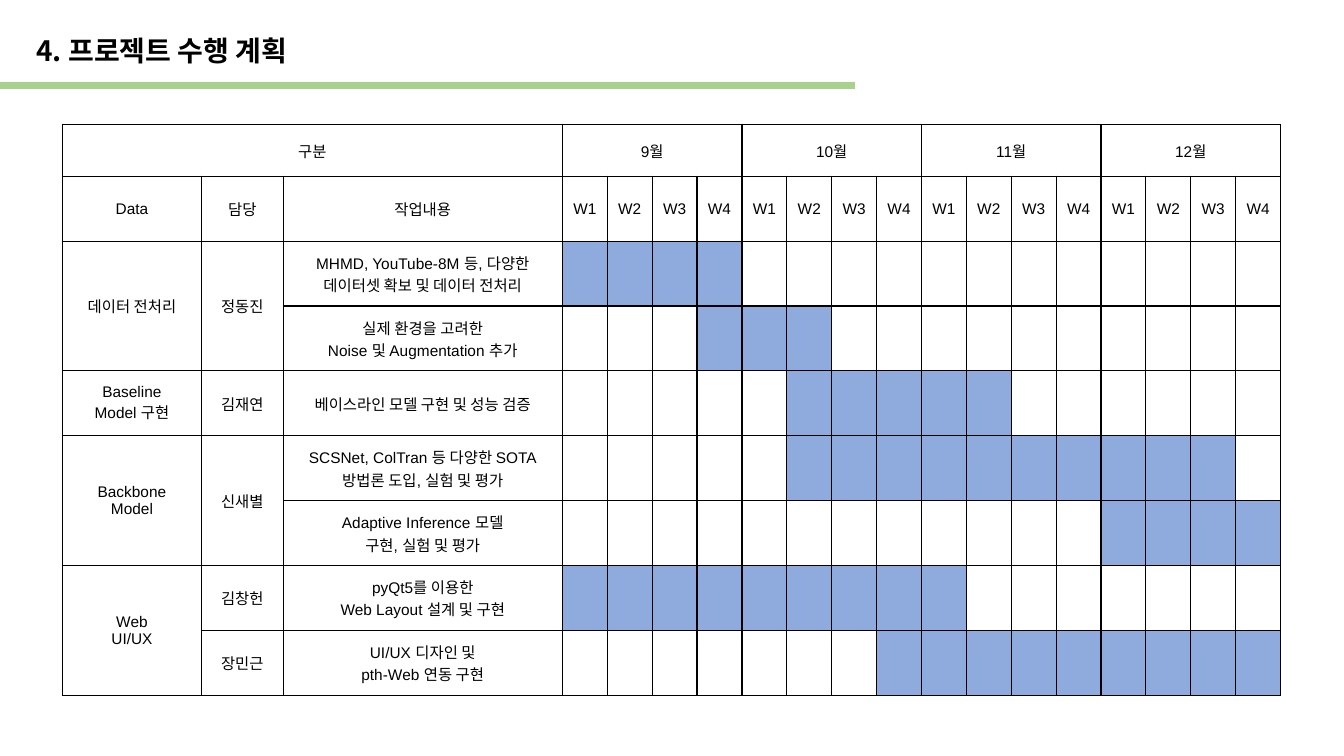
"""Build the project schedule slide."""
from lxml.etree import SubElement
from pptx import Presentation
from pptx.dml.color import RGBColor
from pptx.enum.shapes import MSO_CONNECTOR
from pptx.enum.text import MSO_ANCHOR, MSO_AUTO_SIZE, PP_ALIGN
from pptx.oxml import parse_xml
from pptx.oxml.ns import nsdecls, qn
from pptx.util import Pt

TITLE = "4. 프로젝트 수행 계획"
MONTHS = ["9월", "10월", "11월", "12월"]
WEEKS = ["W1", "W2", "W3", "W4"]
HEADS = ["Data", "담당", "작업내용"]
# Each task: area, owner, work, first week, last week
TASKS = [
    ("데이터 전처리", "정동진", "MHMD, YouTube-8M 등, 다양한\n데이터셋 확보 및 데이터 전처리", 1, 4),
    ("", "", "실제 환경을 고려한\nNoise 및 Augmentation 추가", 4, 6),
    ("Baseline\nModel 구현", "김재연", "베이스라인 모델 구현 및 성능 검증", 6, 10),
    ("Backbone\nModel", "신새별", "SCSNet, ColTran 등 다양한 SOTA\n방법론 도입, 실험 및 평가", 6, 15),
    ("", "", "Adaptive Inference 모델\v구현, 실험 및 평가", 13, 16),
    ("Web\nUI/UX", "김창헌", "pyQt5를 이용한\nWeb Layout 설계 및 구현", 1, 9),
    ("", "장민근", "UI/UX 디자인 및\npth-Web 연동 구현", 8, 16),
]
COLORS = {"ink": "000000", "bar": "8FAADC", "rule": "A9D18E", "paper": "FFFFFF"}
LATIN, HANGUL = "Arial", "Noto Sans CJK KR"
LEFT, TOP = 44.6, 88.7
SIDE = [99.4, 58.3, 199.5]
WEEK, HEAD, ROW = 32.08, 37.2, 46.37


def color(key):
    return RGBColor.from_string(COLORS[key])


def style(frame, size, latin, bold=False):
    for para in frame.paragraphs:
        for run in para.runs:
            font = run.font
            font.size, font.bold, font.name = Pt(size), bold, latin
            font.color.rgb = color("ink")
            SubElement(run._r.get_or_add_rPr(), qn("a:ea")).set("typeface", HANGUL)


def paint(cell, key):
    props = cell._tc.get_or_add_tcPr()
    for side in "LRTB":
        props.append(parse_xml(
            f'<a:ln{side} {nsdecls("a")} w="12700"><a:solidFill>'
            f'<a:srgbClr val="{COLORS["ink"]}"/></a:solidFill></a:ln{side}>'))
    cell.fill.solid()
    cell.fill.fore_color.rgb = color(key)


def write(cell, text):
    cell.text = text
    cell.vertical_anchor = MSO_ANCHOR.MIDDLE
    for para in cell.text_frame.paragraphs:
        para.alignment = PP_ALIGN.CENTER
    style(cell.text_frame, 11, LATIN)


def add_title(slide):
    title = slide.shapes.title
    title.left, title.top, title.width, title.height = Pt(18.7), Pt(8), Pt(683), Pt(40)
    frame = title.text_frame
    frame.text = TITLE
    frame.word_wrap = True
    frame.auto_size = MSO_AUTO_SIZE.NONE
    frame.vertical_anchor = MSO_ANCHOR.TOP
    para = frame.paragraphs[0]
    para.alignment, para.line_spacing = PP_ALIGN.LEFT, 1.5
    style(frame, 20, HANGUL, True)
    rule = slide.shapes.add_connector(
        MSO_CONNECTOR.STRAIGHT, Pt(0), Pt(61.2), Pt(610.5), Pt(61.2))
    rule.line.color.rgb, rule.line.width = color("rule"), Pt(5)
    SubElement(rule._element.spPr, qn("a:effectLst"))


def add_plan(slide):
    side, span = len(SIDE), len(WEEKS)
    widths = SIDE + [WEEK] * (len(MONTHS) * span)
    heights = [HEAD] + [ROW] * (len(TASKS) + 1)
    table = slide.shapes.add_table(
        len(heights), len(widths), Pt(LEFT), Pt(TOP),
        Pt(sum(widths)), Pt(sum(heights))).table
    table.first_row = table.horz_banding = False
    for col, width in zip(table.columns, widths):
        col.width = Pt(width)
    for row, height in zip(table.rows, heights):
        row.height = Pt(height)
    for r in range(len(heights)):
        for c in range(len(widths)):
            busy = r > 1 and TASKS[r - 2][3] <= c - side + 1 <= TASKS[r - 2][4]
            paint(table.cell(r, c), "bar" if busy else "paper")

    table.cell(0, 0).merge(table.cell(0, side - 1))
    write(table.cell(0, 0), "구분")
    for m, month in enumerate(MONTHS):
        col = side + m * span
        table.cell(0, col).merge(table.cell(0, col + span - 1))
        write(table.cell(0, col), month)
    for c, text in enumerate(HEADS + WEEKS * len(MONTHS)):
        write(table.cell(1, c), text)
    for r, task in enumerate(TASKS, 2):
        for c, text in enumerate(task[:side]):
            if text:
                write(table.cell(r, c), text)
            else:
                table.cell(r - 1, c).merge(table.cell(r, c))


def main():
    deck = Presentation()
    deck.slide_width, deck.slide_height = Pt(960), Pt(540)
    slide = deck.slides.add_slide(deck.slide_layouts[5])
    add_title(slide)
    add_plan(slide)
    deck.save("out.pptx")


if __name__ == "__main__":
    main()
